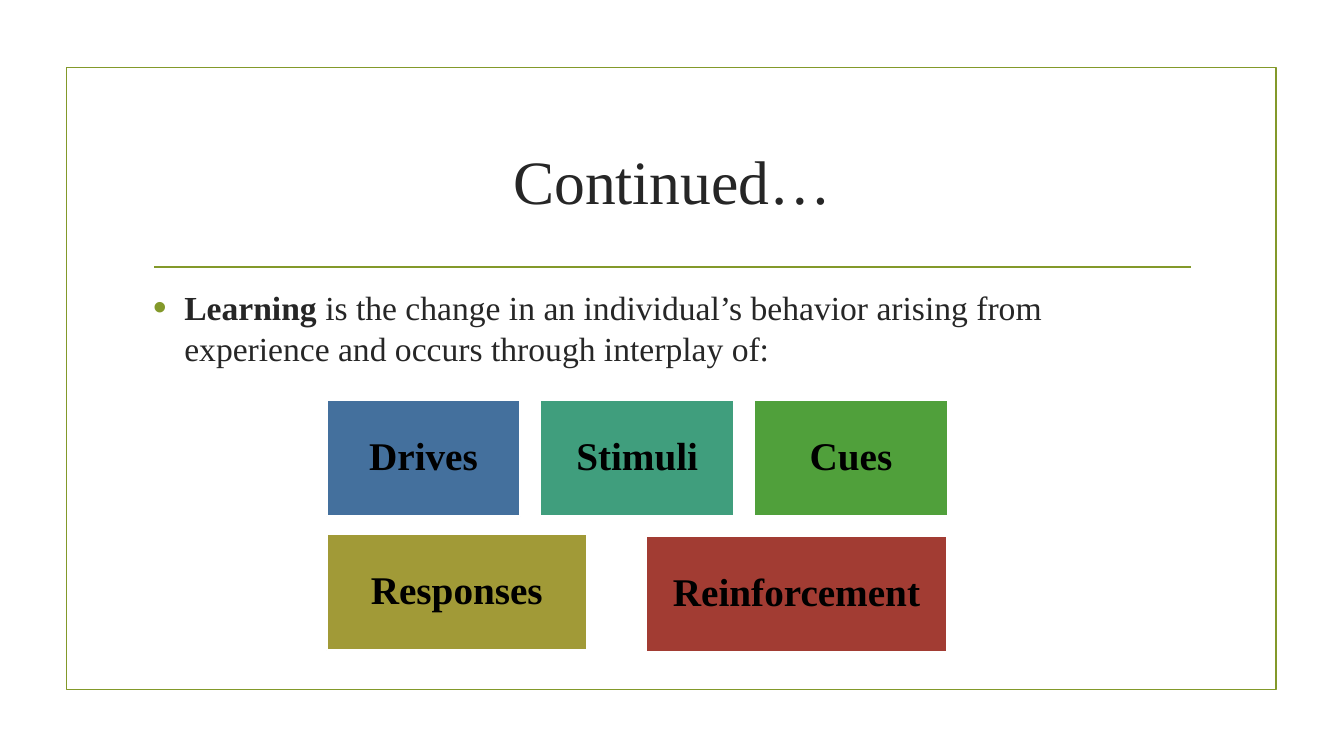
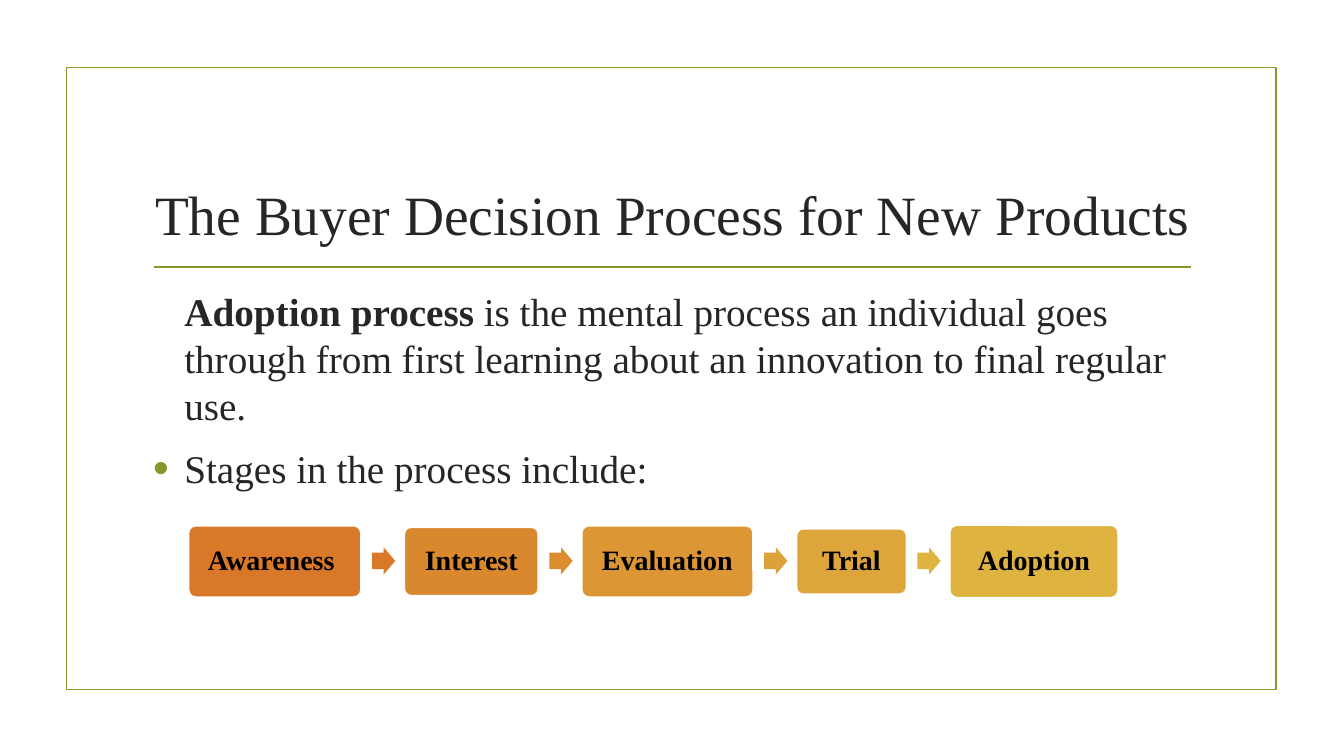
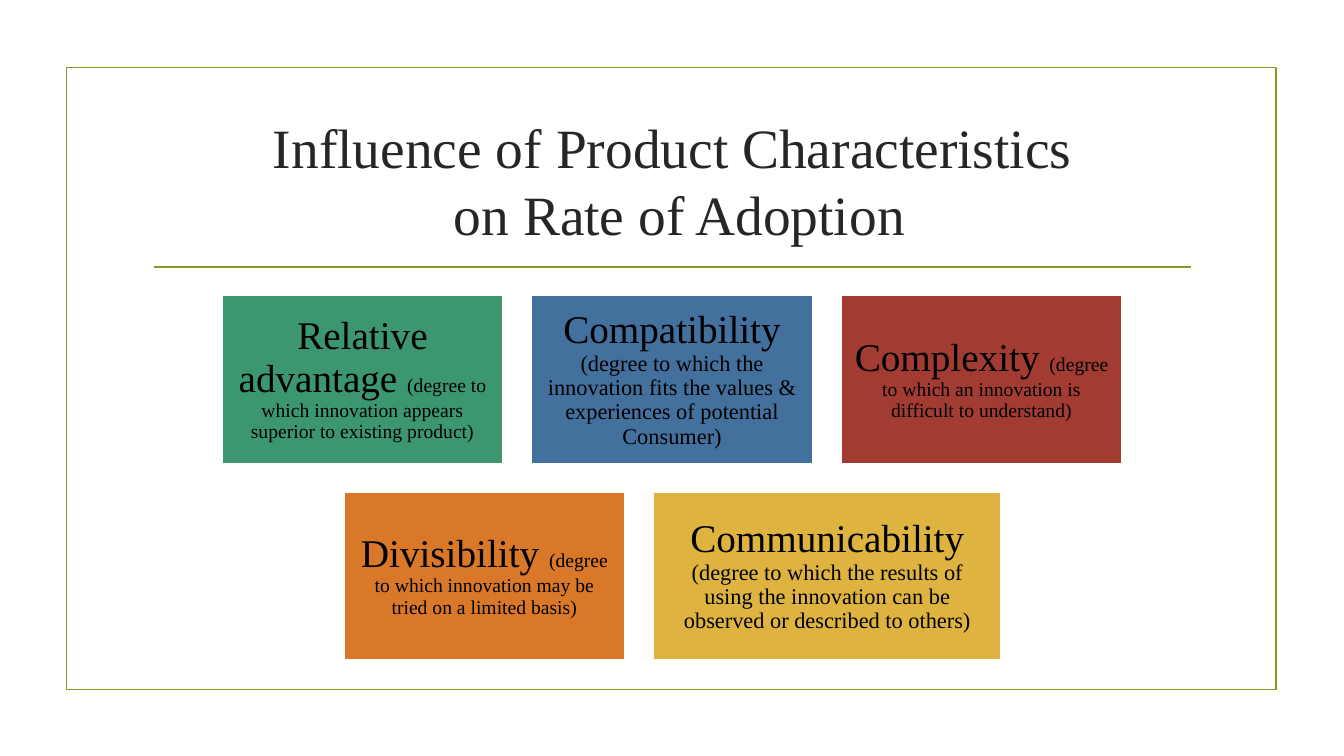
from dataclasses import dataclass

from lxml import etree
from pptx import Presentation
from pptx.dml.color import RGBColor
from pptx.enum.shapes import MSO_CONNECTOR, MSO_SHAPE
from pptx.enum.text import MSO_ANCHOR, PP_ALIGN
from pptx.oxml.ns import qn
from pptx.util import Inches, Pt

RECT = MSO_SHAPE.RECTANGLE
ROUND = MSO_SHAPE.ROUNDED_RECTANGLE
ARROW = MSO_SHAPE.RIGHT_ARROW
STRAIGHT = MSO_CONNECTOR.STRAIGHT
MIDDLE = MSO_ANCHOR.MIDDLE
BOTTOM = MSO_ANCHOR.BOTTOM
TOP = MSO_ANCHOR.TOP
CENTER = PP_ALIGN.CENTER


@dataclass(frozen=True)
class Theme:
    font: str = "Times New Roman"
    olive: str = "83992A"
    ink: str = "262626"
    black: str = "000000"
    white: str = "FFFFFF"
    blue: str = "44709D"
    teal: str = "409E7D"
    sea: str = "3C9770"
    green: str = "50A03B"
    moss: str = "A19A37"
    red: str = "A23C33"
    orange: str = "D97828"
    gold: str = "DEB340"
    line: float = 1.25
    title: float = 44
    long: float = 39.6
    body: float = 24
    large: float = 28
    stage: float = 20
    note: float = 16
    small: float = 14


T = Theme()


def rgb(code):
    return RGBColor.from_string(code)


def place(*nums):
    return [Inches(num) for num in nums]


def add_run(para, text, size, color, bold=False):
    run = para.add_run()
    run.text = text
    font = run.font
    font.name, font.size, font.bold = T.font, Pt(size), bold
    font.color.rgb = rgb(color)


def add_line(shape, color):
    shape.line.color.rgb = rgb(color)
    shape.line.width = Pt(T.line)


def add_box(slide, kind, at, fill=None, line=None):
    shape = slide.shapes.add_shape(kind, *place(*at))
    shape.shadow.inherit = False
    if fill:
        shape.fill.solid()
        shape.fill.fore_color.rgb = rgb(fill)
    else:
        shape.fill.background()
    if line:
        add_line(shape, line)
    else:
        shape.line.fill.background()
    return shape


def add_label(shape, runs, inset):
    frame = shape.text_frame
    frame.word_wrap = True
    frame.vertical_anchor = MIDDLE
    frame.margin_left = frame.margin_right = Inches(inset)
    frame.margin_top = frame.margin_bottom = Inches(inset)
    para = frame.paragraphs[0]
    para.alignment = CENTER
    para.line_spacing = 0.9
    for text, size, bold in runs:
        add_run(para, text, size, T.black, bold)


def add_page(deck, lines, size, anchor=MIDDLE):
    slide = deck.slides.add_slide(deck.slide_layouts[5])
    add_box(slide, RECT, (0.66, 0.67, 12, 6.17), line=T.olive)
    rule = slide.shapes.add_connector(STRAIGHT, *place(1.53, 2.65, 11.81, 2.65))
    add_line(rule, T.olive)
    etree.SubElement(rule._element.spPr, qn("a:effectLst"))
    title = slide.shapes.title
    title.left, title.top, title.width, title.height = place(1.42, 1.07, 10.5, 1.43)
    frame = title.text_frame
    frame.word_wrap = True
    frame.vertical_anchor = anchor
    para = frame.paragraphs[0]
    para.alignment = CENTER
    for pos, line in enumerate(lines):
        if pos:
            para.add_line_break()
        add_run(para, line, size, T.ink)
    return slide


def set_bullet(para, shown):
    props = para._p.get_or_add_pPr()
    props.set("marL", str(Inches(0.31)))
    props.set("indent", str(Inches(-0.31) if shown else 0))
    if not shown:
        etree.SubElement(props, qn("a:buNone"))
        return
    color = etree.SubElement(props, qn("a:buClr"))
    etree.SubElement(color, qn("a:srgbClr"), val=T.olive)
    etree.SubElement(props, qn("a:buSzPct"), val="115000")
    etree.SubElement(props, qn("a:buFont"), typeface="Arial")
    etree.SubElement(props, qn("a:buChar"), char="•")


def add_body(slide, items, size):
    frame = slide.shapes.add_textbox(*place(1.42, 2.8, 10.5, 3.63)).text_frame
    frame.word_wrap = True
    frame.vertical_anchor = TOP
    for pos, (shown, runs) in enumerate(items):
        para = frame.add_paragraph() if pos else frame.paragraphs[0]
        set_bullet(para, shown)
        para.space_before = Pt(size * 0.2 if pos else 0)
        para.space_after = Pt(6)
        for text, bold in runs:
            add_run(para, text, size, T.ink, bold)


def add_row(slide, left, top, high, gap, cards):
    for wide, fill, runs in cards:
        card = add_box(slide, RECT, (left, top, wide, high), fill, T.white)
        add_label(card, runs, 0.12)
        left += wide + gap


def add_chain(slide, left, mid, gap, stages, tints):
    for pos, (text, wide, high, fill) in enumerate(stages):
        stage = add_box(slide, ROUND, (left, mid - high / 2, wide, high), fill, T.white)
        stage.adjustments[0] = 0.1
        add_label(stage, [(text, T.stage, True)], 0.1)
        left += wide
        if pos < len(tints):
            arrow = add_box(slide, ARROW, (left + 0.11, mid - 0.14, 0.23, 0.27), tints[pos])
            arrow.adjustments[0], arrow.adjustments[1] = 0.6, 0.5
        left += gap


def add_learning(deck):
    slide = add_page(deck, ["Continued…"], T.title)
    add_body(slide, [(True, [
        ("Learning", True),
        (" is the change in an individual’s behavior arising from experience"
         " and occurs through interplay of:", False),
    ])], T.body)
    rows = [
        (3.24, 3.97, [("Drives", 1.92, T.blue), ("Stimuli", 1.92, T.teal),
                      ("Cues", 1.92, T.green)]),
        (3.24, 5.3, [("Responses", 2.58, T.moss)]),
        (6.41, 5.32, [("Reinforcement", 2.98, T.red)]),
    ]
    for left, top, cells in rows:
        cards = [(wide, fill, [(text, T.large, True)]) for text, wide, fill in cells]
        add_row(slide, left, top, 1.15, 0.2, cards)


def add_process(deck):
    slide = add_page(deck, ["The Buyer Decision Process for New Products"], T.long, BOTTOM)
    add_body(slide, [
        (False, [
            ("Adoption process ", True),
            ("is the mental process an individual goes through from first"
             " learning about an innovation to final regular use.", False),
        ]),
        (True, [("Stages in the process include:", False)]),
    ], T.large)
    stages = [
        ("Awareness ", 1.71, 0.71, T.orange),
        ("Interest", 1.33, 0.68, "DA882E"),
        ("Evaluation", 1.7, 0.71, "DC9734"),
        ("Trial", 1.09, 0.65, "DDA53A"),
        ("Adoption", 1.67, 0.72, T.gold),
    ]
    add_chain(slide, 1.87, 5.57, 0.43, stages, [T.orange, "DB8D30", "DCA138", T.gold])


def add_traits(deck):
    slide = add_page(deck, ["Influence of Product Characteristics", " on Rate of Adoption"], T.long)
    rows = [
        (2.2, 2.93, [
            ("Relative advantage ", 2.79, T.sea, T.small,
             "(degree to which innovation appears superior to existing product)"),
            ("Compatibility ", 2.79, T.blue, T.note,
             "(degree to which the innovation fits the values & experiences of potential Consumer)"),
            ("Complexity ", 2.79, T.red, T.small,
             "(degree to which an innovation is difficult to understand)"),
        ]),
        (3.41, 4.88, [
            ("Divisibility ", 2.79, T.orange, T.small,
             "(degree to which innovation may be tried on a limited basis)"),
            ("Communicability ", 3.45, T.gold, T.note,
             "(degree to which the results of using the innovation can be observed"
             " or described to others)"),
        ]),
    ]
    for left, top, cells in rows:
        cards = [(wide, fill, [(name, T.large, False), (note, size, False)])
                 for name, wide, fill, size, note in cells]
        add_row(slide, left, top, 1.67, 0.28, cards)


def main():
    deck = Presentation()
    deck.slide_width, deck.slide_height = place(13.33, 7.5)
    add_learning(deck)
    add_process(deck)
    add_traits(deck)
    deck.save("out.pptx")


if __name__ == "__main__":
    main()
